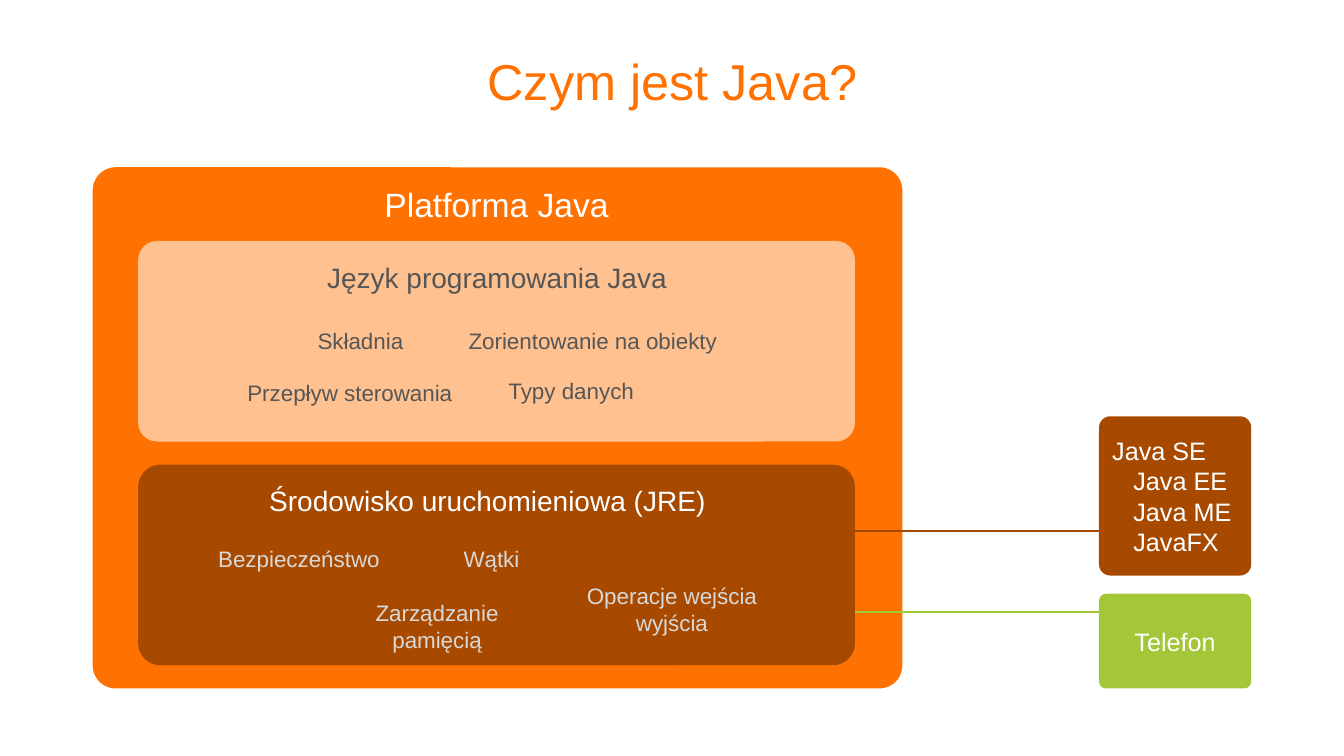
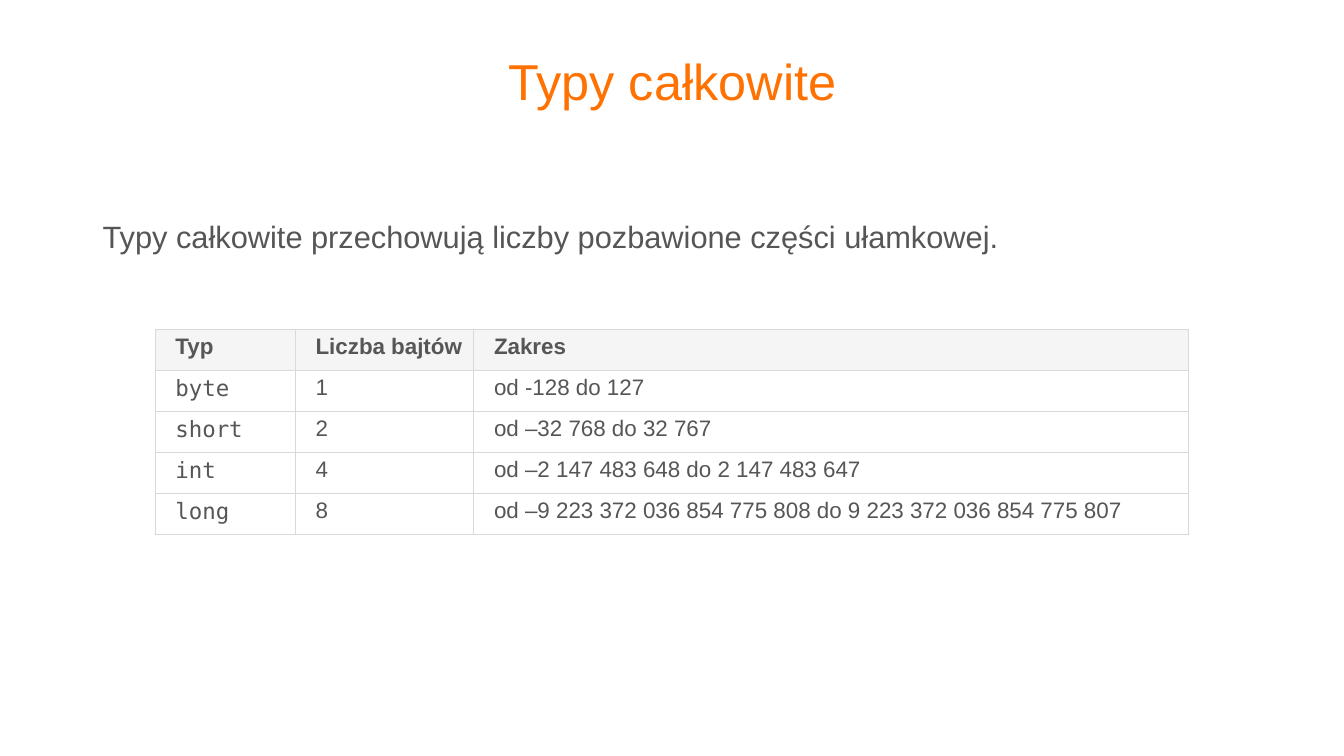
from lxml import etree
from pptx import Presentation
from pptx.dml.color import RGBColor
from pptx.enum.shapes import MSO_CONNECTOR, MSO_SHAPE
from pptx.enum.text import MSO_ANCHOR, PP_ALIGN
from pptx.oxml.ns import qn
from pptx.util import Inches, Pt

ROUND = MSO_SHAPE.ROUNDED_RECTANGLE
LINE = MSO_CONNECTOR.STRAIGHT
LEFT, CENTER = PP_ALIGN.LEFT, PP_ALIGN.CENTER
TOP, MIDDLE = MSO_ANCHOR.TOP, MSO_ANCHOR.MIDDLE

ORANGE, PEACH, BROWN, GREEN = "FF7100", "FFC18F", "A74A00", "A4C639"
GRAY, PALE, EDGE, HEAD, WHITE = "565656", "D9D9D9", "D9D9D9", "F5F5F5", "FFFFFF"
SANS, MONO = "Arial", "DejaVu Sans Mono"


def tint(target, color):
    target.rgb = RGBColor.from_string(color)


def paint(target, color):
    target.fill.solid()
    tint(target.fill.fore_color, color)


def apply(target, style):
    for name, value in style.items():
        setattr(target, name, value)


def write(frame, lines, size, color, align=CENTER, anchor=MIDDLE,
          font=SANS, bold=False, space=None):
    apply(frame, {"word_wrap": True, "vertical_anchor": anchor})
    for i, line in enumerate(lines):
        para = frame.add_paragraph() if i else frame.paragraphs[0]
        apply(para, {"text": line, "alignment": align, "line_spacing": space})
        apply(para.font, {"name": font, "size": Pt(size), "bold": bold})
        tint(para.font.color, color)


def label(slide, box, text, size, color, **style):
    area = slide.shapes.add_textbox(*map(Inches, box))
    write(area.text_frame, [text], size, color, **style)


def block(slide, box, color, curve):
    shape = slide.shapes.add_shape(ROUND, *map(Inches, box))
    shape.shadow.inherit = False
    shape.adjustments[0] = curve
    paint(shape, color)
    shape.line.fill.background()
    return shape.text_frame


def link(slide, left, right, top, color):
    ends = map(Inches, (left, top, right, top))
    wire = slide.shapes.add_connector(LINE, *ends)
    wire.line.width = Pt(1.75)
    tint(wire.line.color, color)
    etree.SubElement(wire._element.spPr, qn("a:effectLst"))


def panel(slide, box, fill, curve, color, title, ink, topics):
    left, top = box[:2]
    block(slide, box, fill, curve)
    for text, size, shade, (x, y, w, h) in [
        (title[0], title[1], color, title[2]),
        *((name, 16, ink, area) for name, area in topics),
    ]:
        label(slide, (left + x, top + y, w, h), text, size, shade)


def start(deck, title):
    slide = deck.slides.add_slide(deck.slide_layouts[6])
    label(slide, (0.92, 0.4, 11.5, 0.87), title, 36, ORANGE, space=0.9)
    return slide


def platform(slide, box):
    left, top = box[:2]
    inner, wide, high = left + 0.45, 7.11, 1.99
    panel(slide, box, ORANGE, 0.044, WHITE,
          ("Platforma Java", 24, (1.49, 0.11, 5.03, 0.5)), WHITE, [])
    panel(slide, (inner, top + 0.73, wide, high), PEACH, 0.094, GRAY,
          ("Język programowania Java", 20, (1.39, 0.14, 4.34, 0.44)), GRAY, [
              ("Składnia", (1.62, 0.8, 1.17, 0.37)),
              ("Zorientowanie na obiekty", (2.96, 0.8, 3.1, 0.37)),
              ("Przepływ sterowania", (0.9, 1.32, 2.4, 0.37)),
              ("Typy danych", (3.46, 1.3, 1.67, 0.37))])
    panel(slide, (inner, top + 2.95, wide, high), BROWN, 0.111, WHITE,
          ("Środowisko uruchomieniowa (JRE)", 20, (0.18, 0.13, 6.57, 0.44)), PALE, [
              ("Bezpieczeństwo", (0.63, 0.75, 1.93, 0.37)),
              ("Wątki", (2.79, 0.75, 1.43, 0.37)),
              ("Operacje wejścia wyjścia", (4.33, 1.11, 1.93, 0.64)),
              ("Zarządzanie pamięcią", (2, 1.28, 1.93, 0.64))])
    return inner + wide


def editions(slide, box, edge):
    left, top, wide, _ = box
    for y, high, wire, color, align, lines in [
        (0, 1.58, 1.14, BROWN, LEFT, ["Java SE", "Java EE", "Java ME", "JavaFX"]),
        (1.76, 0.94, 1.94, GREEN, CENTER, ["Telefon"]),
    ]:
        frame = block(slide, (left, top + y, wide, high), color, 0.074)
        write(frame, lines, 18, WHITE, align=align)
        for para in frame.paragraphs[1:]:
            para._p.get_or_add_pPr().set("marL", str(Inches(0.21)))
        link(slide, edge, left, top + wire, color)


def border(cell):
    props = cell._tc.get_or_add_tcPr()
    for i, side in enumerate(("lnL", "lnR", "lnT", "lnB")):
        edge = etree.Element(qn(f"a:{side}"), w=str(Pt(1)))
        fill = etree.SubElement(edge, qn("a:solidFill"))
        etree.SubElement(fill, qn("a:srgbClr"), val=EDGE)
        props.insert(i, edge)


def grid(slide, box, widths, rows):
    area = map(Inches, box)
    table = slide.shapes.add_table(len(rows), len(widths), *area).table
    apply(table, {"first_row": False, "horz_banding": False})
    pads = {"margin_left": Inches(0.2), "margin_right": Inches(0.1),
            "margin_top": Inches(0.05), "margin_bottom": Inches(0.05)}
    for column, width in zip(table.columns, widths):
        column.width = Inches(width)
    for r, row in enumerate(rows):
        table.rows[r].height = Inches(box[3] / len(rows))
        for c, text in enumerate(row):
            cell = table.cell(r, c)
            apply(cell, pads)
            paint(cell, WHITE if r else HEAD)
            border(cell)
            write(cell.text_frame, [text], 16, GRAY, align=LEFT, anchor=TOP,
                  font=MONO if r and c == 0 else SANS, bold=r == 0)


def intro(deck):
    slide = start(deck, "Czym jest Java?")
    edge = platform(slide, (0.92, 1.66, 8.03, 5.17))
    editions(slide, (10.9, 4.13, 1.51, 2.7), edge)


def types(deck):
    slide = start(deck, "Typy całkowite")
    label(slide, (0.92, 2, 11.5, 0.87),
          "Typy całkowite przechowują liczby pozbawione części ułamkowej.",
          22, GRAY, align=LEFT, anchor=TOP, space=1.3)
    grid(slide, (1.54, 3.27, 10.25, 2.03), (1.39, 1.77, 7.09), [
        ("Typ", "Liczba bajtów", "Zakres"),
        ("byte", "1", "od -128 do 127"),
        ("short", "2", "od –32 768 do 32 767"),
        ("int", "4", "od –2 147 483 648 do 2 147 483 647"),
        ("long", "8", "od –9 223 372 036 854 775 808 do 9 223 372 036 854 775 807"),
    ])


def main():
    deck = Presentation()
    apply(deck, {"slide_width": Inches(13.33), "slide_height": Inches(7.5)})
    intro(deck)
    types(deck)
    deck.save("out.pptx")


if __name__ == "__main__":
    main()
